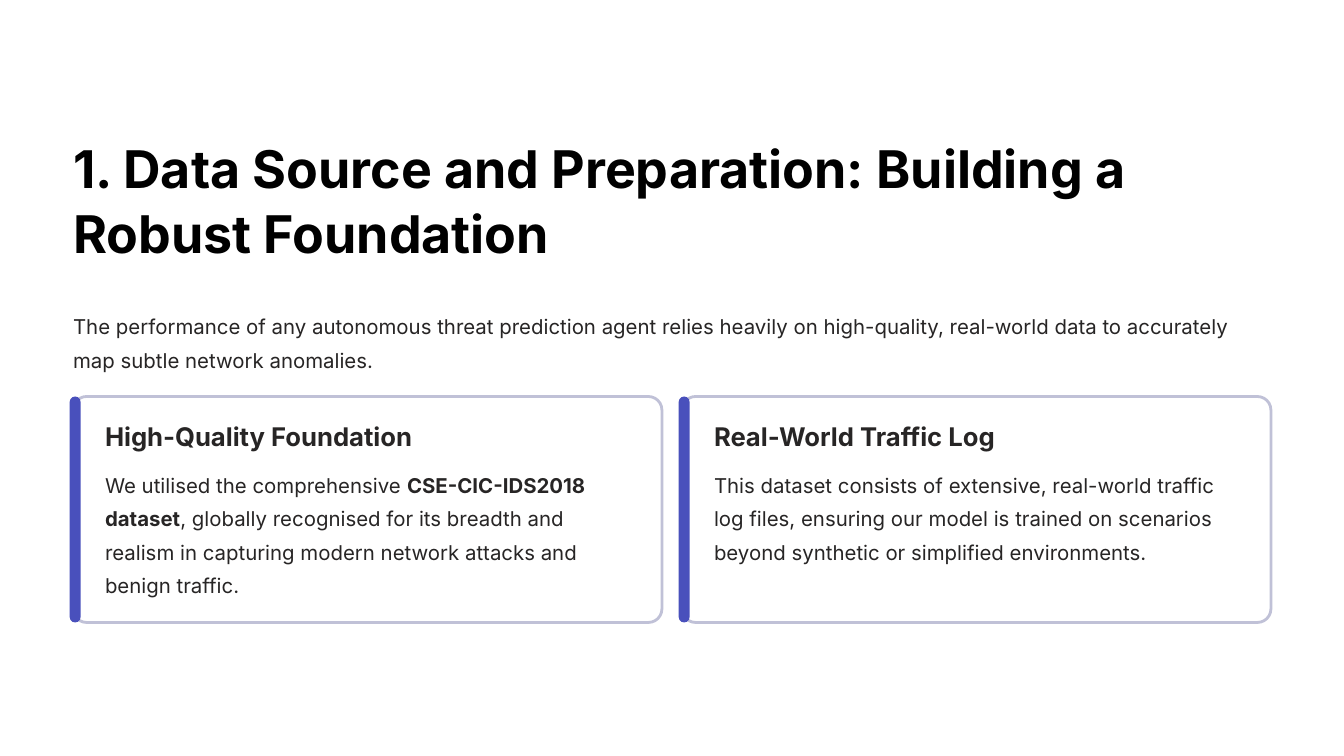
import pptx
import pptx.dml.color
import pptx.enum.shapes
import pptx.util
from pptx.util import Inches

FONT = "Inter"
INK = "272525"
MARGIN = 0.87
CARD_TOP = 4.72
CARD_WIDTH = 7.01
CARD_HEIGHT = 2.69
CARD_STEP = 7.25

CARDS = [
    ("High-Quality Foundation", [
        ("We utilised the comprehensive ", False),
        ("CSE-CIC-IDS2018 dataset", True),
        (", globally recognised for its breadth and realism in capturing "
         "modern network attacks and benign traffic.", False),
    ]),
    ("Real-World Traffic Log", [
        ("This dataset consists of extensive, real-world traffic log files, "
         "ensuring our model is trained on scenarios beyond synthetic or "
         "simplified environments.", False),
    ]),
]


def color(value):
    return pptx.dml.color.RGBColor.from_string(value)


def add_text(page, left, top, width, height, spans, size, spacing,
             ink=INK, wrap=True):
    box = page.shapes.add_textbox(
        Inches(left), Inches(top), Inches(width), Inches(height))
    frame = box.text_frame
    frame.word_wrap = wrap
    frame.margin_left = frame.margin_right = 0
    frame.margin_top = frame.margin_bottom = 0
    para = frame.paragraphs[0]
    para.line_spacing = pptx.util.Pt(spacing)
    for text, bold in spans:
        span = para.add_run()
        span.text = text
        span.font.name = FONT
        span.font.size = pptx.util.Pt(size)
        span.font.bold = bold
        span.font.color.rgb = color(ink)


def add_panel(page, left, width, rounding, fill, line=None):
    panel = page.shapes.add_shape(
        pptx.enum.shapes.MSO_SHAPE.ROUNDED_RECTANGLE,
        Inches(left), Inches(CARD_TOP), Inches(width), Inches(CARD_HEIGHT))
    panel.shadow.inherit = False
    panel.adjustments[0] = rounding
    panel.fill.solid()
    panel.fill.fore_color.rgb = color(fill)
    if line:
        panel.line.color.rgb = color(line)
        panel.line.width = pptx.util.Pt(2.4)
    else:
        panel.line.fill.background()


def add_card(page, left, heading, spans):
    add_panel(page, left, CARD_WIDTH, 0.06, "FFFFFF", "C0C1D7")
    add_panel(page, left - 0.04, 0.13, 0.5, "4950BC")
    text_left = left + 0.38
    add_text(page, text_left, 5, 3.72, 0.39, [(heading, True)], 22, 27.5,
             wrap=False)
    add_text(page, text_left, 5.53, 6.35, 1.59, spans, 17.5, 28.5)


def main():
    deck = pptx.Presentation()
    deck.slide_width = Inches(16)
    deck.slide_height = Inches(9)
    page = deck.slides.add_slide(deck.slide_layouts[6])
    page.background.fill.solid()
    page.background.fill.fore_color.rgb = color("FFFFFF")

    add_text(page, MARGIN, 1.6, 14.26, 1.55,
             [("1. Data Source and Preparation: Building a Robust Foundation",
               True)], 44.5, 55.5, "000000")
    add_text(page, MARGIN, 3.64, 14.26, 0.79,
             [("The performance of any autonomous threat prediction agent "
               "relies heavily on high-quality, real-world data to accurately "
               "map subtle network anomalies.", False)], 17.5, 28.5)
    for index, (heading, spans) in enumerate(CARDS):
        add_card(page, MARGIN + index * CARD_STEP, heading, spans)

    deck.save("out.pptx")


if __name__ == "__main__":
    main()
